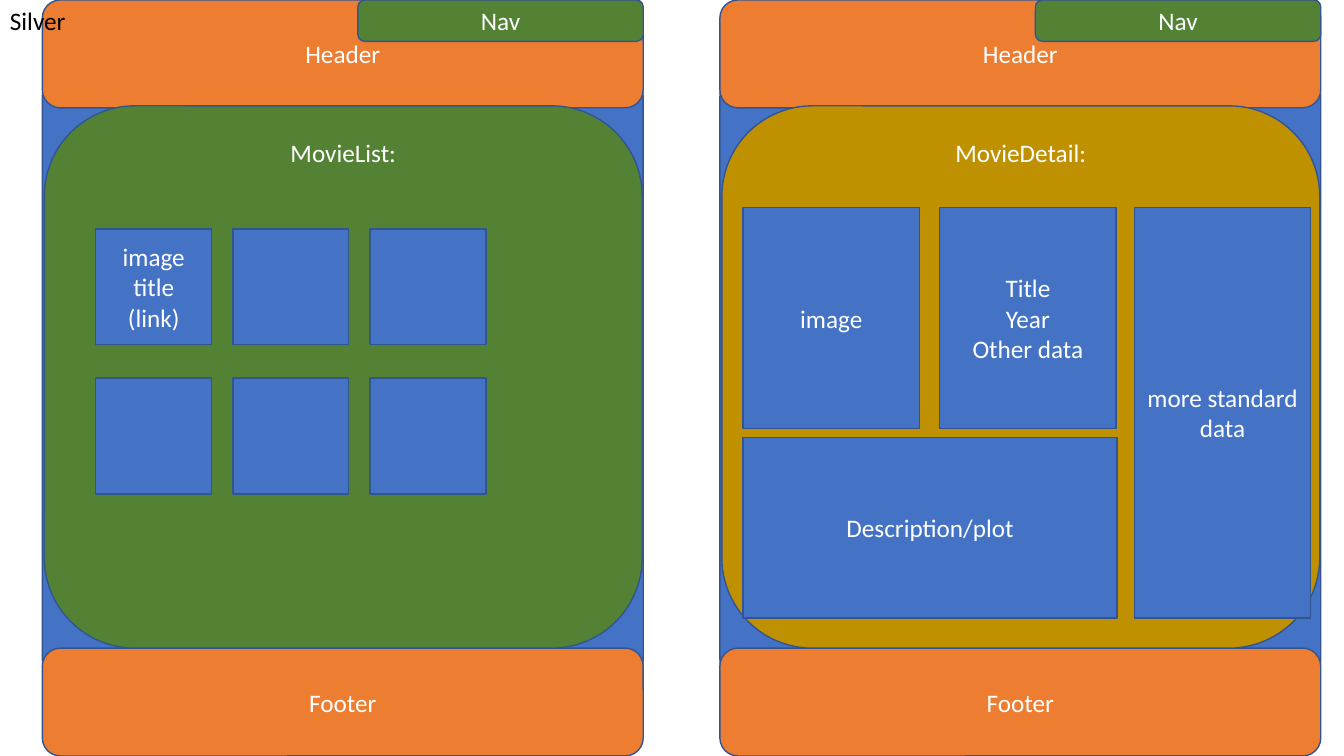
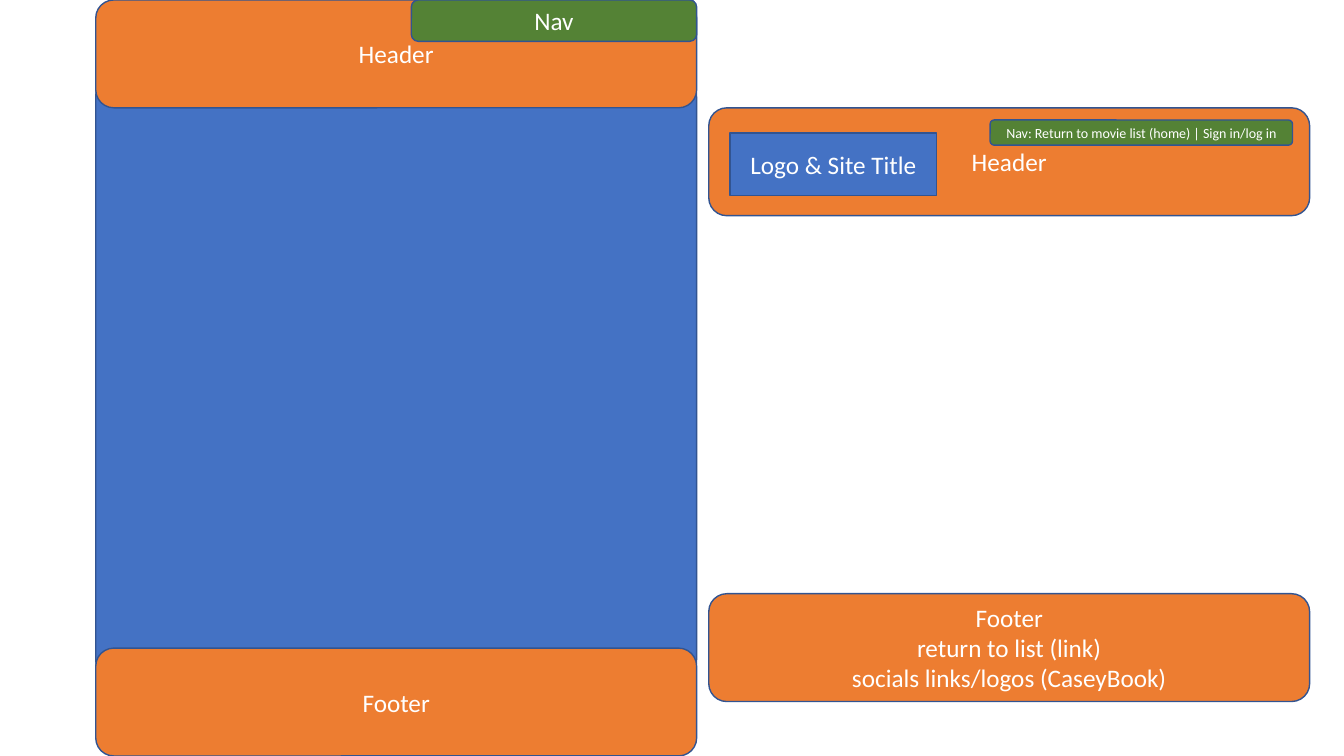
from dataclasses import dataclass
from itertools import product

from pptx import Presentation
from pptx.dml.color import RGBColor
from pptx.enum.shapes import MSO_SHAPE
from pptx.enum.text import MSO_ANCHOR, MSO_AUTO_SIZE, PP_ALIGN
from pptx.slide import Slide
from pptx.text.text import TextFrame
from pptx.util import Inches, Pt

BLUE = "4472C4"
ORANGE = "ED7D31"
GREEN = "548235"
GOLD = "BF9000"
OUTLINE = "325491"
WHITE = "FFFFFF"
BLACK = "000000"
FONT = "Calibri"

PAGE_WIDTH, PAGE_HEIGHT = 13.33, 7.5
FRAME_WIDTH = 5.96
BAND_HEIGHT = 1.07
NAV_WIDTH, NAV_HEIGHT = 2.83, 0.41
PANEL_TOP, PANEL_WIDTH, PANEL_HEIGHT = 1.05, 5.93, 5.38
TILE = 1.15
TILE_LEFT, TILE_TOP = 0.95, 2.27
TILE_STEP_X, TILE_STEP_Y = 1.36, 1.48


@dataclass(frozen=True)
class Block:
    """A filled area of a wireframe, measured in inches."""

    left: float
    top: float
    width: float
    height: float
    fill: str = BLUE
    text: str = ""
    size: float = 18
    rounded: bool = False
    anchor: MSO_ANCHOR = MSO_ANCHOR.MIDDLE


def color(value: str) -> RGBColor:
    """Turn a hex string into a colour."""
    return RGBColor.from_string(value)


def write(frame: TextFrame, text: str, *, size: float = 18, ink: str = WHITE,
          align: PP_ALIGN = PP_ALIGN.CENTER,
          anchor: MSO_ANCHOR = MSO_ANCHOR.MIDDLE) -> None:
    """Fill a text frame with one formatted paragraph per line."""
    frame.word_wrap = True
    frame.vertical_anchor = anchor
    for index, line in enumerate(text.split("\n")):
        para = frame.add_paragraph() if index else frame.paragraphs[0]
        para.alignment = align
        span = para.add_run()
        span.text = line
        span.font.name = FONT
        span.font.size = Pt(size)
        span.font.color.rgb = color(ink)


def draw(page: Slide, block: Block) -> None:
    """Draw one outlined block with its label."""
    kind = MSO_SHAPE.ROUNDED_RECTANGLE if block.rounded else MSO_SHAPE.RECTANGLE
    box = page.shapes.add_shape(kind, Inches(block.left), Inches(block.top),
                                Inches(block.width), Inches(block.height))
    box.shadow.inherit = False
    box.fill.solid()
    box.fill.fore_color.rgb = color(block.fill)
    box.line.color.rgb = color(OUTLINE)
    box.line.width = Pt(1)
    if block.text:
        write(box.text_frame, block.text, size=block.size, anchor=block.anchor)


def band(left: float, top: float, text: str) -> Block:
    """Describe a header or footer band."""
    return Block(left, top, FRAME_WIDTH, BAND_HEIGHT, ORANGE, text, rounded=True)


def draw_site_frame(page: Slide, left: float) -> None:
    """Draw a site page with its header, footer and navigation."""
    draw(page, Block(left, 0, FRAME_WIDTH, PAGE_HEIGHT, rounded=True))
    draw(page, band(left, 0, "Header"))
    draw(page, band(left, PAGE_HEIGHT - BAND_HEIGHT, "Footer"))
    draw(page, Block(left + FRAME_WIDTH - NAV_WIDTH, 0, NAV_WIDTH, NAV_HEIGHT,
                     GREEN, "Nav", rounded=True))


def draw_view(page: Slide, left: float, title: str, fill: str) -> None:
    """Draw a site page holding one titled content panel."""
    draw_site_frame(page, left)
    draw(page, Block(left + 0.02, PANEL_TOP, PANEL_WIDTH, PANEL_HEIGHT, fill, title,
                     rounded=True, anchor=MSO_ANCHOR.TOP))


def build_views(page: Slide) -> None:
    """Build the movie list and movie detail wireframes."""
    draw_view(page, 0.42, "MovieList:", GREEN)
    draw_view(page, 7.14, "MovieDetail:", GOLD)

    label = page.shapes.add_textbox(Inches(0), Inches(0), Inches(1.91), Inches(0.4))
    write(label.text_frame, "Silver", ink=BLACK, align=PP_ALIGN.LEFT,
          anchor=MSO_ANCHOR.TOP)
    label.text_frame.auto_size = MSO_AUTO_SIZE.SHAPE_TO_FIT_TEXT

    for row, column in product(range(2), range(3)):
        text = "" if row or column else "image\ntitle\n(link)"
        draw(page, Block(TILE_LEFT + column * TILE_STEP_X, TILE_TOP + row * TILE_STEP_Y,
                         TILE, TILE, text=text))

    details = (
        Block(7.37, 2.06, 1.75, 2.19, text="image"),
        Block(9.32, 2.06, 1.75, 2.19, text="Title\nYear\nOther data"),
        Block(7.37, 4.34, 3.71, 1.79, text="Description/plot"),
        Block(11.25, 2.06, 1.75, 4.07, text="more standard data"),
    )
    for block in details:
        draw(page, block)


def build_bands(page: Slide) -> None:
    """Build the empty site page beside its detailed header and footer."""
    draw_site_frame(page, 0.95)
    parts = (
        band(7.03, 1.07, "Header"),
        Block(7.24, 1.32, 2.05, 0.62, text="Logo & Site Title"),
        band(7.03, 5.89, "Footer\nreturn to list (link)\nsocials links/logos (CaseyBook)"),
        Block(9.82, 1.19, 3, 0.25, GREEN,
              "Nav: Return to movie list (home) | Sign in/log in", size=10, rounded=True),
    )
    for block in parts:
        draw(page, block)


def main() -> None:
    """Build and save the deck."""
    deck = Presentation()
    deck.slide_width = Inches(PAGE_WIDTH)
    deck.slide_height = Inches(PAGE_HEIGHT)
    blank = deck.slide_layouts.get_by_name("Blank")
    for build in (build_views, build_bands):
        build(deck.slides.add_slide(blank))
    deck.save("out.pptx")


if __name__ == "__main__":
    main()
